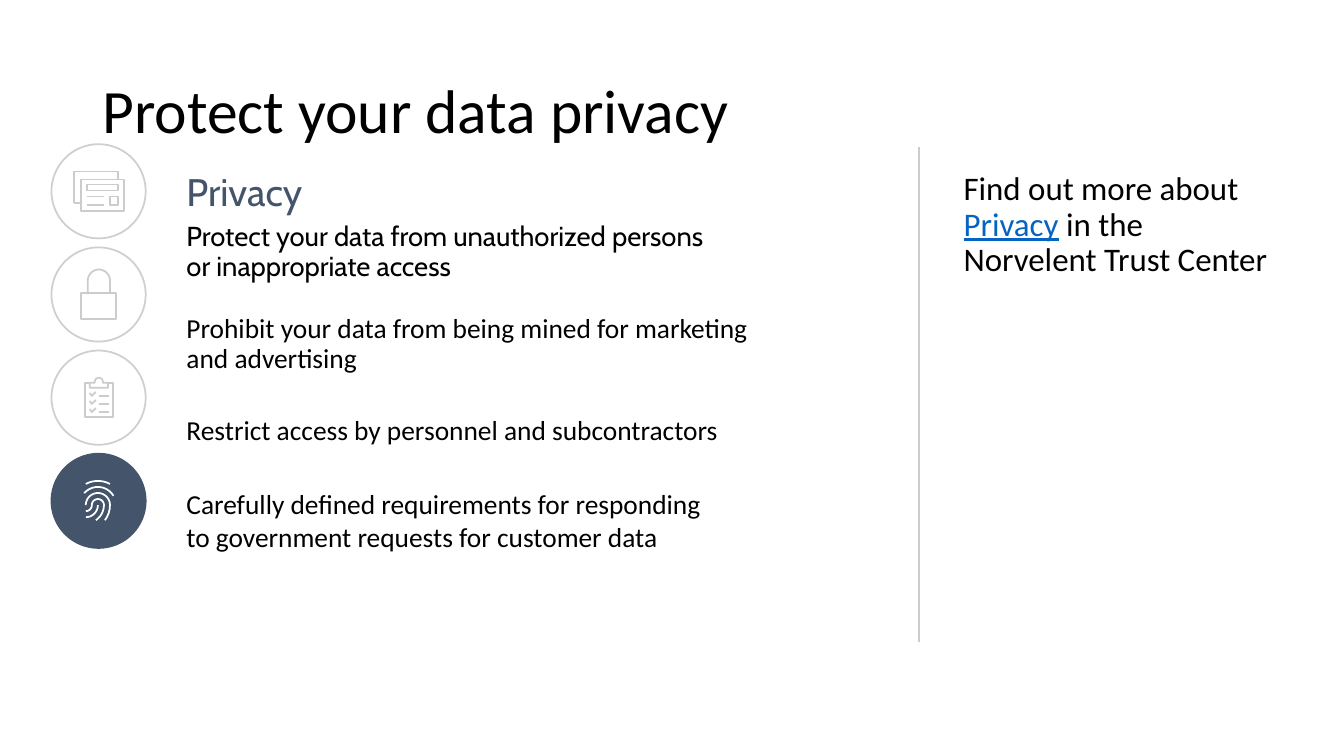
from itertools import pairwise
from math import cos, radians, sin

from lxml import etree
from pptx import Presentation
from pptx.dml.color import RGBColor
from pptx.enum.shapes import MSO_CONNECTOR, MSO_SHAPE
from pptx.enum.text import MSO_ANCHOR
from pptx.oxml.ns import qn
from pptx.util import Pt

OVAL = MSO_SHAPE.OVAL
STRAIGHT = MSO_CONNECTOR.STRAIGHT
TOP, MIDDLE = MSO_ANCHOR.TOP, MSO_ANCHOR.MIDDLE

BLACK = RGBColor(0x00, 0x00, 0x00)
WHITE = RGBColor(0xFF, 0xFF, 0xFF)
SLATE = RGBColor(0x44, 0x54, 0x6A)
RING = RGBColor(0xD0, 0xCE, 0xCE)
GREY = RGBColor(0xCC, 0xCC, 0xCC)
BLUE = RGBColor(0x05, 0x63, 0xC1)
WEIGHT = 1.25
UNIT = 0.72  # points per icon unit; a disc is 93 units wide


# Strokes of the icons, in icon units from the corner of the disc
def arc(x, y, radius, start, end):
    """Points on a circle, with angles in degrees clockwise from the right."""
    steps = max(4, abs(end - start) // 8)
    turns = [radians(start + (end - start) * i / steps) for i in range(steps + 1)]
    return [(x + radius * cos(t), y + radius * sin(t)) for t in turns]


def rect(left, top, right, bottom):
    return [(left, top), (right, top), (right, bottom), (left, bottom), (left, top)]


BACK = [(29, 58), (22, 58), (22, 27), (66, 27), (66, 35)]
WINDOW = [
    [(35, 52), (52, 52)], [(35, 60), (52, 60)],
    rect(58, 52, 66, 60), rect(35, 40, 66, 46), rect(29, 35, 72, 66),
]
LOCK = [
    rect(29, 45, 64, 71),
    [(58, 45), *arc(47, 33, 11, 0, -180), (36, 45)],
]
CLIPBOARD = [
    [*arc(47, 31, 4, -180, 0), (51, 32), (56, 32), (56, 37), (38, 37),
     (38, 32), (43, 32), (43, 31)],
    [(38, 32), (33, 32), (33, 66), (61, 66), (61, 32), (56, 32)],
]
for row in (45, 53, 61):
    CLIPBOARD += [[(47, row), (57, row)],
                  [(38, row - 3), (40, row), (44, row - 4)]]
FINGER = [
    arc(34, 51, 12, 0, 90),
    arc(46, 52.5, 25.5, -62, -118),
    arc(46, 51, 18, -31, -139),
    arc(33, 51, 25, 37, 0) + arc(46, 51, 12, 0, -180),
    arc(34, 51, 18, 56, 0) + arc(46, 51, 6, 0, -180) + arc(34, 51, 6, 0, 90),
]


def rule(shapes, start, end):
    line = shapes.add_connector(STRAIGHT, *map(Pt, (*start, *end)))
    line.line.color.rgb = GREY
    line.line.width = Pt(WEIGHT)
    etree.SubElement(line._element.spPr, qn("a:effectLst"))


def style(run, size=19.6, font="Calibri", color=BLACK, under=False):
    run.font.size = Pt(size)
    run.font.name = font
    run.font.color.rgb = color
    run.font.underline = under


def text(shapes, box, paras, inset, anchor=TOP):
    """Each paragraph is a list of (words, format) runs and its spacing."""
    frame = shapes.add_textbox(*map(Pt, box)).text_frame
    frame.word_wrap = True
    frame.vertical_anchor = anchor
    frame.margin_left = frame.margin_right = Pt(inset[0])
    frame.margin_top = frame.margin_bottom = Pt(inset[1])
    for i, (runs, before, spacing) in enumerate(paras):
        para = frame.add_paragraph() if i else frame.paragraphs[0]
        para.line_spacing = spacing
        if before:
            para.space_before = Pt(before)
        for words, look in runs:
            for j, part in enumerate(words.split("\n")):
                if j:
                    para.add_line_break()
                run = para.add_run()
                run.text = part
                style(run, **look)


def icon(shapes, box, strokes, back=(), active=False):
    """A disc with a line drawing; the active one is filled."""
    left, top, size = box
    group = shapes.add_group_shape().shapes
    disc = group.add_shape(OVAL, *map(Pt, (left, top, size, size)))
    disc.shadow.inherit = False
    disc.line.width = Pt(WEIGHT)
    disc.line.color.rgb = SLATE if active else RING
    if active:
        disc.fill.solid()
        disc.fill.fore_color.rgb = SLATE
    else:
        disc.fill.background()

    def place(point):
        return left + point[0] * UNIT, top + point[1] * UNIT

    paths = [[tuple(map(Pt, place(p))) for p in stroke] for stroke in strokes]
    pen = group.build_freeform(*paths[0][0])
    for i, path in enumerate(paths):
        if i:
            pen.move_to(*path[0])
        pen.add_line_segments(path[1:], close=False)
    glyph = pen.convert_to_shape()
    glyph.shadow.inherit = False
    glyph.fill.background()
    glyph.line.width = Pt(WEIGHT)
    glyph.line.color.rgb = WHITE if active else GREY
    for start, end in pairwise(back):
        rule(group, place(start), place(end))


def header(shapes, box):
    words = "Protect your data privacy"
    text(shapes, box, [([(words, {"size": 44})], 0, 0.9)], (7.2, 3.6), MIDDLE)


def icons(shapes, left, top, size, pitch):
    looks = [
        {"strokes": WINDOW, "back": BACK},
        {"strokes": LOCK},
        {"strokes": CLIPBOARD},
        {"strokes": FINGER, "active": True},
    ]
    for i, look in enumerate(looks):
        icon(shapes, (left, top + i * pitch, size), **look)


def points(shapes, box):
    rows = [
        ("Privacy", {"size": 27.4, "font": "Cabin", "color": SLATE}, 0, 0.9),
        ("Protect your data from unauthorized persons\nor inappropriate access",
         {"font": "Cabin"}, 5.9, 0.9),
        ("Prohibit your data from being mined for marketing\nand advertising",
         {}, 23.5, 0.9),
        ("Restrict access by personnel and subcontractors", {}, 27.4, 1.0),
        ("Carefully defined requirements for responding\n"
         "to government requests for customer data", {}, 29.8, 1.0),
    ]
    paras = [([(words, look)], before, gap) for words, look, before, gap in rows]
    text(shapes, box, paras, (14.4, 11.5))


def aside(shapes, left, top, width, height):
    """A vertical rule with a pointer to further reading beside it."""
    rule(shapes, (left, top), (left, top + height))
    runs = [
        ("Find out more about ", {"size": 23.5}),
        ("Privacy", {"size": 23.5, "color": BLUE, "under": True}),
        (" in the Norvelent Trust Center", {"size": 23.5}),
    ]
    box = (left + 20.2, top + 10.8, width - 20.2, 91.4)
    text(shapes, box, [(runs, 0, 0.9)], (11.5, 7.2))


def main():
    deck = Presentation()
    deck.slide_width, deck.slide_height = Pt(960), Pt(540)
    shapes = deck.slides.add_slide(deck.slide_layouts[6]).shapes
    header(shapes, (66, 28.8, 828, 104.4))
    icons(shapes, 36.8, 103, 67.3, 73.7)
    points(shapes, (118.8, 112.3, 514.8, 295.9))
    aside(shapes, 656.6, 105.1, 267.9, 353.5)
    deck.save("out.pptx")


if __name__ == "__main__":
    main()
